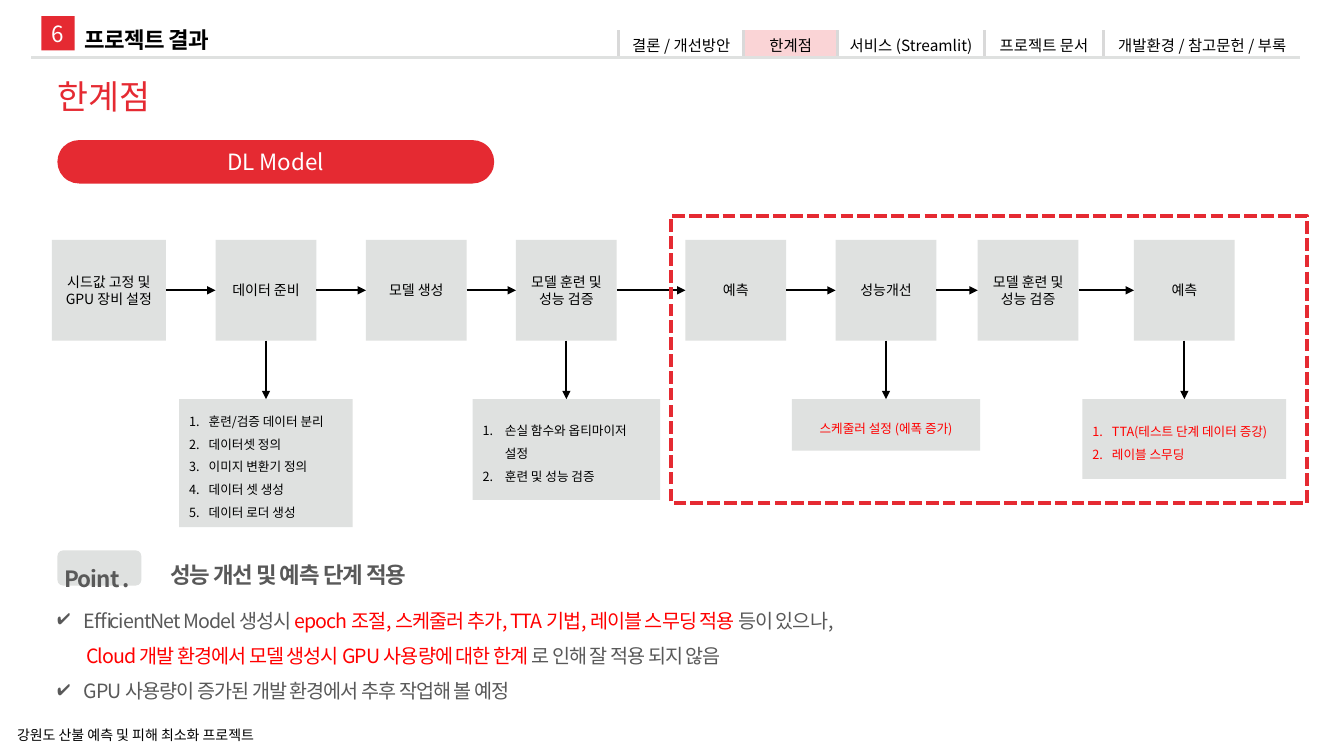
from lxml import etree
from pptx import Presentation
from pptx import util as u
from pptx.dml.color import RGBColor
from pptx.enum import dml, shapes, text
from pptx.oxml.ns import qn

Pt = u.Pt
FONT = "Noto Sans CJK KR"
RED, ALERT, PALE_RED = "E52A32", "FF0000", "FAD4D6"
GREY, RULE_GREY, DARK_GREY = "DFE1E0", "D9D9D9", "595959"
BLACK, WHITE = "000000", "FFFFFF"
CENTER, MIDDLE = text.PP_ALIGN.CENTER, text.MSO_ANCHOR.MIDDLE
RECT, ROUND = shapes.MSO_SHAPE.RECTANGLE, shapes.MSO_SHAPE.ROUNDED_RECTANGLE
LEFT_SIDE, BOTTOM_SIDE, RIGHT_SIDE, TOP_SIDE = 1, 2, 3, 0

STEP_TOP, STEP_SIZE, NOTE_TOP = 171.4, 72, 285.1
# left, width, lines
STEPS = [
    (37, 81.5, ["시드값 고정 및", "GPU 장비 설정"]),
    (154, STEP_SIZE, ["데이터 준비"]),
    (261.4, STEP_SIZE, ["모델 생성"]),
    (368.6, STEP_SIZE, ["모델 훈련 및 성능 검증"]),
    (489.6, STEP_SIZE, ["예측"]),
    (596.9, STEP_SIZE, ["성능개선"]),
    (698.4, STEP_SIZE, ["모델 훈련 및 성능 검증"]),
    (810, STEP_SIZE, ["예측"]),
]
# step index, width, height, colour, number indent (0 for no numbers), lines
NOTES = [
    (1, 124, 91.4, BLACK, 14, ["훈련/검증 데이터 분리", "데이터셋 정의", "이미지 변환기 정의",
                               "데이터 셋 생성", "데이터 로더 생성"]),
    (3, 134, 72, BLACK, 16, ["손실 함수와 옵티마이저 설정", "훈련 및 성능 검증"]),
    (5, 134.6, 36.7, ALERT, 0, ["스케줄러 설정 (에폭 증가)"]),
    (7, 145.6, 56.9, ALERT, 14, ["TTA(테스트 단계 데이터 증강)", "레이블 스무딩"]),
]
# label, column width
TABS = [("결론 / 개선방안", 89.3), ("한계점", 67), ("서비스 (Streamlit)", 105),
        ("프로젝트 문서", 85), ("개발환경 / 참고문헌 / 부록", 141)]
CURRENT_TAB = "한계점"


def rgb(value):
    return RGBColor.from_string(value)


def add_run(paragraph, words, size, colour, bold=False, spacing=0):
    run = paragraph.add_run()
    run.text = words
    font = run.font
    font.name, font.size, font.bold = FONT, Pt(size), bold
    font.color.rgb = rgb(colour)
    properties = run._r.get_or_add_rPr()
    etree.SubElement(properties, qn("a:ea"), typeface=FONT)
    if spacing:
        properties.set("spc", str(round(spacing * 100)))


def next_paragraph(frame):
    """Return the empty first paragraph, or a new one."""
    first = frame.paragraphs[0]
    return frame.add_paragraph() if first.runs else first


def set_indent(paragraph, margin, bullet=None, **bullet_attributes):
    """Indent a paragraph; a bullet hangs in the margin."""
    properties = paragraph._p.get_or_add_pPr()
    properties.set("marL", str(Pt(margin)))
    if bullet:
        properties.set("indent", str(-Pt(margin)))
        etree.SubElement(properties, qn(bullet), **bullet_attributes)


def set_insets(frame, left=0, top=0, right=0, bottom=0):
    frame.margin_left, frame.margin_top = Pt(left), Pt(top)
    frame.margin_right, frame.margin_bottom = Pt(right), Pt(bottom)


def add_box(slide, left, top, width, height, fill=None, kind=RECT):
    box = slide.shapes.add_shape(kind, Pt(left), Pt(top), Pt(width), Pt(height))
    box.shadow.inherit = False
    box.line.fill.background()
    if fill:
        box.fill.solid()
        box.fill.fore_color.rgb = rgb(fill)
    else:
        box.fill.background()
    box.text_frame.word_wrap = True
    box.text_frame.vertical_anchor = MIDDLE
    return box


def write_centred(frame, lines, size, colour, **style):
    for line in lines:
        paragraph = next_paragraph(frame)
        paragraph.alignment = CENTER
        add_run(paragraph, line, size, colour, **style)


def add_text(slide, left, top, width, height, wrap=True):
    frame = slide.shapes.add_textbox(Pt(left), Pt(top), Pt(width), Pt(height)).text_frame
    frame.word_wrap = wrap
    set_insets(frame)
    return frame


def add_line(slide, colour, width, start=(0, 0), end=(0, 0)):
    points = [Pt(value) for value in (*start, *end)]
    line = slide.shapes.add_connector(shapes.MSO_CONNECTOR.STRAIGHT, *points)
    line.line.color.rgb = rgb(colour)
    line.line.width = Pt(width)
    etree.SubElement(line._element.spPr, qn("a:effectLst"))
    return line


def add_arrow(slide, source, source_side, target, target_side):
    arrow = add_line(slide, BLACK, 1.5)
    arrow.begin_connect(source, source_side)
    arrow.end_connect(target, target_side)
    outline = arrow._element.spPr.find(qn("a:ln"))
    etree.SubElement(outline, qn("a:tailEnd"), type="triangle")


def set_border(cell, side, colour=None):
    border = etree.SubElement(cell._tc.get_or_add_tcPr(), qn("a:ln" + side), w=str(Pt(2.25)))
    if colour:
        fill = etree.SubElement(border, qn("a:solidFill"))
        etree.SubElement(fill, qn("a:srgbClr"), val=colour)
    else:
        etree.SubElement(border, qn("a:noFill"))


def add_tabs(slide):
    total = sum(width for _, width in TABS)
    tabs = slide.shapes.add_table(1, len(TABS), Pt(442), Pt(21.6), Pt(total), Pt(20)).table
    tabs.first_row = tabs.horz_banding = False
    tabs.rows[0].height = Pt(20)
    for index, (label, width) in enumerate(TABS):
        tabs.columns[index].width = Pt(width)
        cell = tabs.cell(0, index)
        set_insets(cell)
        cell.vertical_anchor = MIDDLE
        last = index == len(TABS) - 1
        for side, colour in zip("LRTB", (RULE_GREY, None if last else RULE_GREY, None, None)):
            set_border(cell, side, colour)
        if label == CURRENT_TAB:
            cell.fill.solid()
            cell.fill.fore_color.rgb = rgb(PALE_RED)
        else:
            cell.fill.background()
        write_centred(cell.text_frame, [label], 11, BLACK)


def add_header(slide):
    add_tabs(slide)
    add_line(slide, GREY, 2.25, (22.3, 41), (928.8, 41))
    number = add_box(slide, 29.5, 11.5, 23.8, 24.5, RED)
    write_centred(number.text_frame, ["6"], 16, WHITE)
    section = add_text(slide, 60.5, 15.1, 90, 22.3, wrap=False).paragraphs[0]
    section.line_spacing = 1.2
    add_run(section, "프로젝트 결과", 16, BLACK, bold=True, spacing=-0.5)


def add_note(slide, step, width, height, colour, indent, lines):
    left = u.Length(step.left + step.width // 2).pt - width / 2
    note = add_box(slide, left, NOTE_TOP, width, height, GREY)
    for line in lines:
        paragraph = next_paragraph(note.text_frame)
        paragraph.line_spacing = 1.5
        paragraph.alignment = text.PP_ALIGN.LEFT if indent else CENTER
        if indent:
            set_indent(paragraph, indent, "a:buAutoNum", type="arabicPeriod")
        add_run(paragraph, line, 9, colour)
    add_arrow(slide, step, BOTTOM_SIDE, note, TOP_SIDE)


def add_flow(slide):
    steps = []
    for left, width, lines in STEPS:
        step = add_box(slide, left, STEP_TOP, width, STEP_SIZE, GREY)
        write_centred(step.text_frame, lines, 10, BLACK)
        steps.append(step)
    for step, following in zip(steps, steps[1:]):
        add_arrow(slide, step, RIGHT_SIDE, following, LEFT_SIDE)
    for index, *note in NOTES:
        add_note(slide, steps[index], *note)
    limit_frame = add_box(slide, 479.5, 154.5, 454, 205)
    limit_frame.line.color.rgb = rgb(RED)
    limit_frame.line.width = Pt(3)
    limit_frame.line.dash_style = dml.MSO_LINE.SQUARE_DOT


def add_conclusion(slide):
    badge = add_box(slide, 41, 393.1, 60, 25.2, GREY, ROUND)
    set_insets(badge.text_frame, top=5, right=3)
    write_centred(badge.text_frame, ["Point ."], 16, DARK_GREY, bold=True, spacing=-0.7)
    badge.text_frame.paragraphs[0].line_spacing = 1.5

    frame = add_text(slide, 41, 391, 672, 111)
    heading = frame.paragraphs[0]
    heading.line_spacing = 1.5
    set_indent(heading, 80.5)
    add_run(heading, "성능 개선 및 예측 단계 적용", 16, DARK_GREY, bold=True, spacing=-0.7)
    points = [
        (True, 6.5, [("EfficientNet Model 생성시 ", DARK_GREY),
                     ("epoch 조절, 스케줄러 추가, TTA 기법, 레이블 스무딩 적용 ", ALERT),
                     ("등이 있으나,", DARK_GREY)]),
        (False, 0, [("Cloud 개발 환경에서 모델 생성시 GPU 사용량에 대한 한계 ", ALERT),
                    ("로 인해 잘 적용 되지 않음", DARK_GREY)]),
        (True, 0, [("GPU 사용량이 증가된 개발 환경에서 추후 작업해 볼 예정", DARK_GREY)]),
    ]
    for checked, gap, runs in points:
        point = next_paragraph(frame)
        point.line_spacing = 1.5
        point.space_before = Pt(gap)
        if checked:
            set_indent(point, 19, "a:buChar", char="✔")
        else:
            set_indent(point, 20.5)
        for words, colour in runs:
            add_run(point, words, 14, colour, spacing=-0.7)


def main():
    deck = Presentation()
    deck.slide_width, deck.slide_height = Pt(960), Pt(540)
    slide = deck.slides.add_slide(deck.slide_layouts[6])
    title = add_text(slide, 41, 54, 317.5, 29)
    add_run(title.paragraphs[0], "한계점", 24, RED)
    footer = add_text(slide, 12.2, 519, 174, 12.2, wrap=False)
    add_run(footer.paragraphs[0], "강원도 산불 예측 및 피해 최소화 프로젝트", 10, BLACK)
    model_pill = add_box(slide, 41, 100.1, 312, 31, RED, ROUND)
    model_pill.adjustments[0] = 0.5
    write_centred(model_pill.text_frame, ["DL Model"], 16, WHITE)
    add_flow(slide)
    add_conclusion(slide)
    add_header(slide)
    deck.save("out.pptx")


if __name__ == "__main__":
    main()
